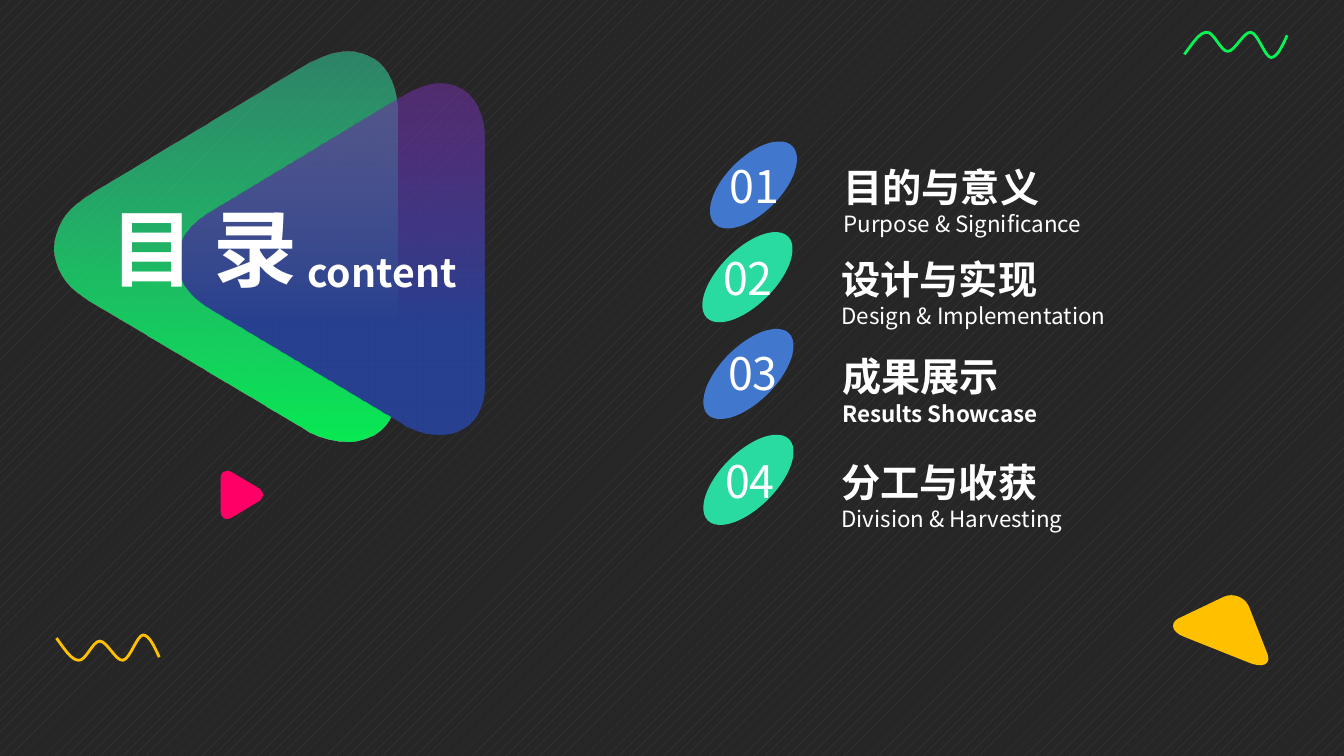
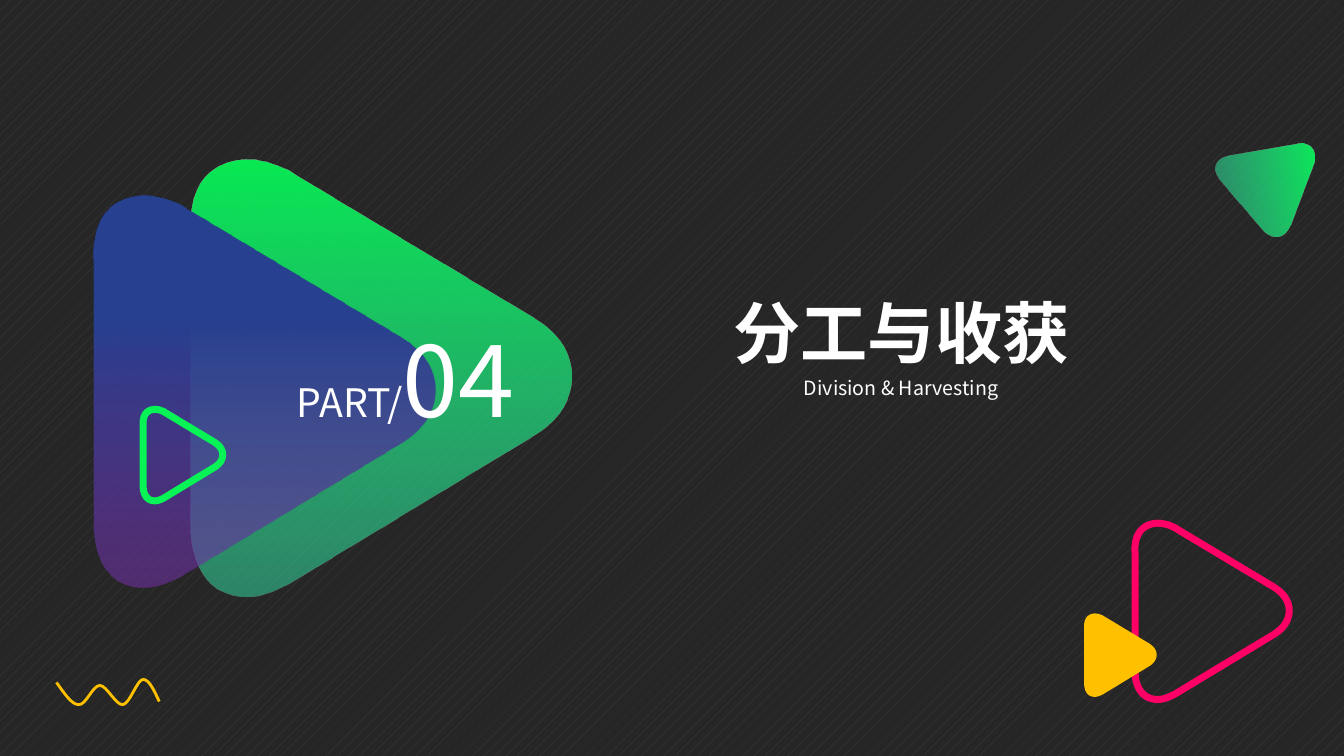
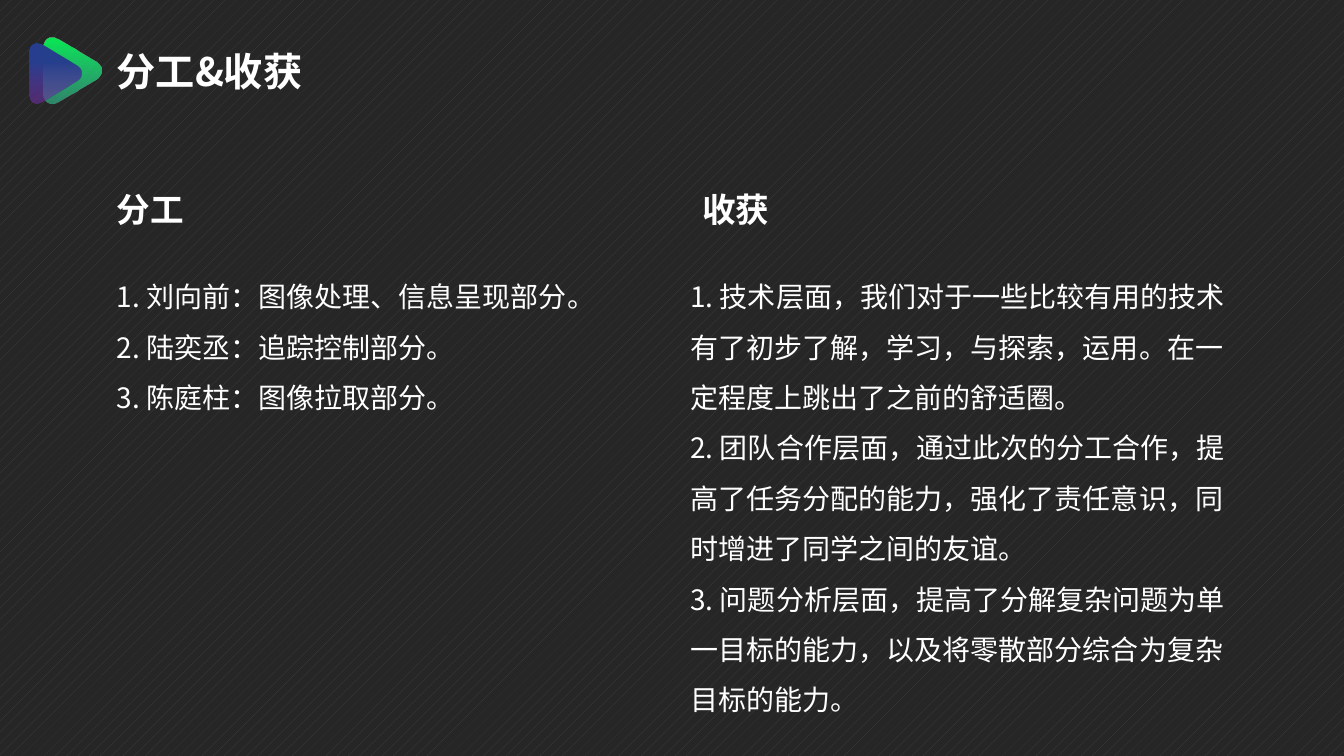
"""Build a contents page, a section page and a two-column page on one dark theme."""
from pptx import Presentation
from pptx.dml.color import RGBColor
from pptx.enum.dml import MSO_PATTERN
from pptx.enum.shapes import MSO_SHAPE
from pptx.enum.text import MSO_AUTO_SIZE, PP_ALIGN
from pptx.oxml.ns import qn
from pptx.util import Inches, Pt
from lxml.etree import SubElement

FONT = "Noto Sans CJK SC"
COLORS = {name: RGBColor.from_string(value) for name, value in {
    "ground": "262626", "pattern": "404040", "white": "FFFFFF", "lime": "07F356",
    "pink": "FF0066", "yellow": "FFC000", "blue": "4277CE", "mint": "29DBA0",
    "leaf": "07F757", "teal": "36DEA6", "navy": "27408F", "purple": "7030A0"}.items()}
GREEN_FADE = [(0, "leaf", 94), (1, "teal", 51)]
BLUE_FADE = [(0.31, "navy", 100), (1, "purple", 58)]

UNIT = 100
TRIANGLE_SIZE, WAVE_SIZE = (100, 100), (102, 25)
TRIANGLE = [
    [(49.5, 0)],
    [(54.6, 0), (59, 3.2), (62.2, 8.5)],
    [(62.7, 9.3)],
    [(97, 74.3)],
    [(97.9, 76.5)],
    [(100.5, 82.3), (100.7, 88.1), (98.2, 92.9)],
    [(95.6, 97.4), (90.8, 99.7), (85, 100)],
    [(17, 100)],
    [(11.3, 100.5), (6, 99), (3, 95)],
    [(-0.9, 89.7), (-0.9, 82), (2.5, 74.3)],
    [(3.7, 72.2)],
    [(36.2, 10)],
    [(37.1, 8.5)],
    [(40.3, 3.2), (44.7, 0), (49.5, 0)]]
WAVE = [
    [(0, 22)],
    [(8, 11), (15, 0), (22, 0)],
    [(29, -1), (36, 19), (43, 19)],
    [(50, 19), (59, -1), (66, 0)],
    [(73, 1), (80, 25), (86, 25)],
    [(92, 25), (97, 14), (102, 3)]]
FLIPPED_WAVE = [[(x, 25 - y) for x, y in segment] for segment in WAVE]

CONTENTS = [
    ("01", "目的与意义", "Purpose & Significance", False, "blue",
     (7.2, 1.29, 0.55, 1.09), (6.9, 1.53, 1.17, 0.41), (8.27, 1.57, 4.48, 0.84)),
    ("02", "设计与实现", "Design & Implementation", False, "mint",
     (7.14, 2.18, 0.55, 1.14), (6.81, 2.44, 1.22, 0.41), (8.25, 2.48, 3.94, 0.84)),
    ("03", "成果展示", "Results Showcase", True, "blue",
     (7.15, 3.14, 0.55, 1.14), (6.86, 3.38, 1.22, 0.41), (8.26, 3.45, 3.94, 0.84)),
    ("04", "分工与收获", "Division & Harvesting", False, "mint",
     (7.15, 4.19, 0.55, 1.14), (6.83, 4.45, 1.22, 0.41), (8.25, 4.5, 3.94, 0.84))]
COLUMNS = [
    ("分工", (1.06, 1.83, 3.84, 0.5), (1.06, 2.56, 5.2, 1.56), [
        "1. 刘向前：图像处理、信息呈现部分。",
        "2. 陆奕丞：追踪控制部分。",
        "3. 陈庭柱：图像拉取部分。"]),
    ("收获", (6.87, 1.83, 3.84, 0.5), (6.75, 2.56, 5.52, 4.59), [
        "1. 技术层面，我们对于一些比较有用的技术有了初步了解，学习，与探索，运用。"
        "在一定程度上跳出了之前的舒适圈。",
        "2. 团队合作层面，通过此次的分工合作，提高了任务分配的能力，强化了责任意识，"
        "同时增进了同学之间的友谊。",
        "3. 问题分析层面，提高了分解复杂问题为单一目标的能力，"
        "以及将零散部分综合为复杂目标的能力。"])]


def add_page(deck):
    page = deck.slides.add_slide(deck.slide_layouts[6])
    fill = page.background.fill
    fill.patterned()
    fill.pattern = MSO_PATTERN.PERCENT_10
    fill.fore_color.rgb = COLORS["pattern"]
    fill.back_color.rgb = COLORS["ground"]
    return page


def paint(shape, fill=None, fade=None, line=None, width=0):
    shape.shadow.inherit = False
    if fade:
        shape.fill.gradient()
        shape.fill.gradient_angle = 0
        for stop, (position, color, _) in zip(shape.fill.gradient_stops, fade):
            stop.position = position
            stop.color.rgb = COLORS[color]
        for node, (_, _, opacity) in zip(shape.element.xpath(".//a:gs/a:srgbClr"), fade):
            SubElement(node, qn("a:alpha"), val=str(opacity * 1000))
    elif fill:
        shape.fill.solid()
        shape.fill.fore_color.rgb = COLORS[fill]
    else:
        shape.fill.background()
    if line:
        shape.line.color.rgb = COLORS[line]
        shape.line.width = Pt(width)
    else:
        shape.line.fill.background()


def bend(shape, segments, size, close):
    """Redraw the outline with lines (one point) and Bézier curves (three points)."""
    outline = shape.element.xpath(".//a:custGeom/a:pathLst/a:path")[0]
    for node in list(outline):
        outline.remove(node)
    for name, length in zip("wh", size):
        outline.set(name, str(length * UNIT))
    for index, segment in enumerate(segments):
        tag = "a:cubicBezTo" if len(segment) == 3 else "a:lnTo" if index else "a:moveTo"
        step = SubElement(outline, qn(tag))
        for x, y in segment:
            SubElement(step, qn("a:pt"), x=str(round(x * UNIT)), y=str(round(y * UNIT)))
    if close:
        SubElement(outline, qn("a:close"))


def add_outline(page, segments, size, at, turn=0, close=True, **look):
    start, *rest = [segment[-1] for segment in segments]
    builder = page.shapes.build_freeform(*start, scale=Inches(0.01))
    builder.add_line_segments(rest, close=close)
    shape = builder.convert_to_shape()
    bend(shape, segments, size, close)
    for name, value in zip(("left", "top", "width", "height"), at):
        setattr(shape, name, Inches(value))
    shape.rotation = turn
    paint(shape, **look)


def add_triangle(page, at, turn, **look):
    add_outline(page, TRIANGLE, TRIANGLE_SIZE, at, turn, **look)


def add_wave(page, left, top, color, segments):
    add_outline(page, segments, WAVE_SIZE, (left, top, 1.02, 0.25),
                close=False, line=color, width=2)


def add_emblem(page, green_at, blue_at, turn):
    for at, fade in ((green_at, GREEN_FADE), (blue_at, BLUE_FADE)):
        add_triangle(page, at, turn, fade=fade)


def add_text(page, at, paragraphs, align=PP_ALIGN.LEFT, spacing=None, wrap=True):
    """Write paragraphs, each a list of (text, size, bold) spans."""
    frame = page.shapes.add_textbox(*map(Inches, at)).text_frame
    frame.word_wrap = wrap
    frame.auto_size = MSO_AUTO_SIZE.SHAPE_TO_FIT_TEXT
    for index, spans in enumerate(paragraphs):
        para = frame.add_paragraph() if index else frame.paragraphs[0]
        para.alignment = align
        para.line_spacing = spacing
        for text, size, bold in spans:
            span = para.add_run()
            span.text = text
            for name, value in {"size": Pt(size), "bold": bold, "name": FONT}.items():
                setattr(span.font, name, value)
            span.font.color.rgb = COLORS["white"]
            SubElement(span._r.get_or_add_rPr(), qn("a:ea"), typeface=FONT)


def build_contents(deck):
    page = add_page(deck)
    add_triangle(page, (11.68, 5.9, 1.01, 0.57), 21.7, fill="yellow")
    add_triangle(page, (2.16, 4.7, 0.48, 0.42), 90, fill="pink")
    add_wave(page, 11.75, 0.32, "lime", WAVE)
    add_wave(page, 0.56, 6.3, "yellow", FLIPPED_WAVE)
    add_emblem(page, (0.3, 0.75, 3.88, 3.39), (1.54, 1.05, 3.48, 3.04), 270)
    for text, size, at in (("目 录", 60, (0.95, 1.9, 2.14, 1.11)),
                           ("content", 28, (2.93, 2.41, 1.72, 0.57))):
        add_text(page, at, [[(text, size, True)]], PP_ALIGN.CENTER, wrap=False)
    for number, title, subtitle, bold, color, oval_at, number_at, label_at in CONTENTS:
        add_text(page, label_at, [[(title, 28, True)], [(subtitle, 16, bold)]])
        oval = page.shapes.add_shape(MSO_SHAPE.OVAL, *map(Inches, oval_at))
        oval.rotation = 45
        paint(oval, fill=color)
        add_text(page, number_at, [[(number, 32, False)]], PP_ALIGN.CENTER)


def build_section(deck):
    page = add_page(deck)
    add_triangle(page, (11.15, 5.3, 1.75, 1.53), 90, line="pink", width=5)
    add_triangle(page, (10.7, 6.14, 0.83, 0.72), 90, fill="yellow")
    add_emblem(page, (1.61, 1.86, 4.34, 3.78), (0.68, 2.19, 3.89, 3.39), 90)
    add_text(page, (1.91, 3.09, 3.29, 1.31),
             [[("PART/", 28, False), ("04", 72, False)]], PP_ALIGN.RIGHT)
    add_triangle(page, (1.36, 4.12, 0.91, 0.79), 90, line="lime", width=5)
    add_triangle(page, (12.1, 1.48, 1, 0.87), 170.3, fade=GREEN_FADE)
    add_wave(page, 0.56, 6.74, "yellow", FLIPPED_WAVE)
    for text, size, bold, at in (
            ("分工与收获", 48, True, (5.76, 2.84, 6.37, 0.91)),
            ("Division & Harvesting", 14, False, (6, 3.68, 5.88, 0.34))):
        add_text(page, at, [[(text, size, bold)]], PP_ALIGN.CENTER)


def build_columns(deck):
    page = add_page(deck)
    add_emblem(page, (0.39, 0.41, 0.66, 0.58), (0.25, 0.47, 0.6, 0.52), 90)
    add_text(page, (1.06, 0.42, 4.03, 0.57), [[("分工&收获", 28, True)]])
    for heading, heading_at, body_at, items in COLUMNS:
        add_text(page, body_at, [[(item, 20, False)] for item in items], spacing=1.5)
        add_text(page, heading_at, [[(heading, 24, True)]])


def main():
    deck = Presentation()
    deck.slide_width, deck.slide_height = Inches(40 / 3), Inches(7.5)
    for build in (build_contents, build_section, build_columns):
        build(deck)
    deck.save("out.pptx")


if __name__ == "__main__":
    main()
